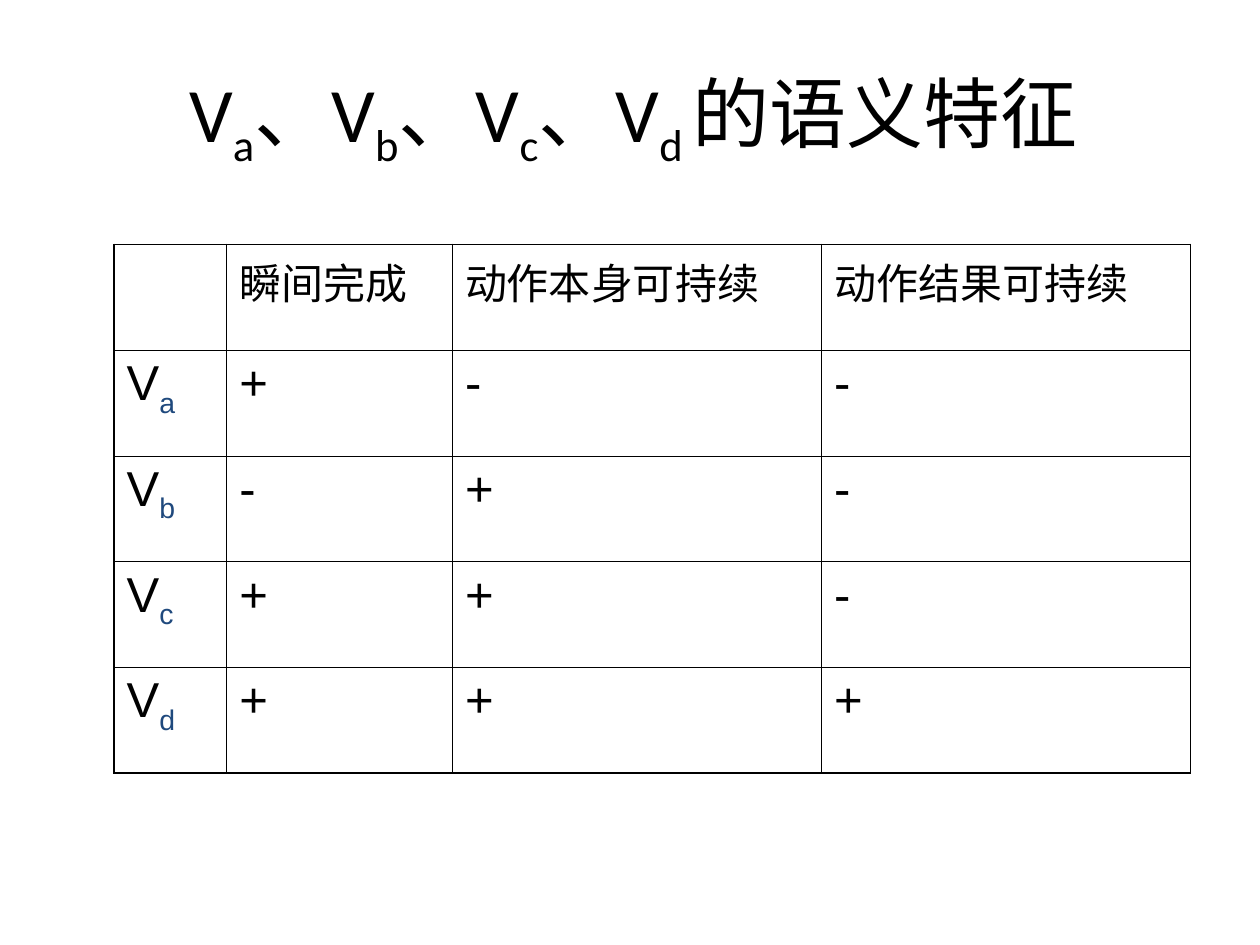
from lxml.etree import SubElement
from pptx import Presentation
from pptx.dml.color import RGBColor
from pptx.enum.text import MSO_ANCHOR, MSO_AUTO_SIZE, PP_ALIGN
from pptx.oxml import parse_xml
from pptx.oxml.ns import nsdecls
from pptx.util import Cm, Pt

BLACK = RGBColor(0, 0, 0)
BLUE = RGBColor(0x1F, 0x49, 0x7D)
THIN, THICK = Pt(0.45), Pt(1.08)


def write(para, parts, font, size, tint=BLACK):
    for i, part in enumerate(parts):
        run = para.add_run()
        run.text = part
        run.font.name = font
        run.font.size = Pt(size)
        run.font.color.rgb = tint if i % 2 else BLACK
        if i % 2:
            run.font._element.set("baseline", "-25000")


def border(cell, widths):
    props = cell._tc.get_or_add_tcPr()
    for i, (side, width) in enumerate(zip("LRTB", widths)):
        line = parse_xml(
            f'<a:ln{side} {nsdecls("a")} w="{width}"><a:solidFill>'
            f'<a:srgbClr val="{BLACK}"/></a:solidFill></a:ln{side}>'
        )
        props.insert(i, line)


deck = Presentation()
deck.slide_width, deck.slide_height = Cm(25.4), Cm(19.05)
slide = deck.slides.add_slide(deck.slide_layouts[5])

title = slide.shapes.title
title.left, title.top = Cm(1.88), Cm(0.79)
title.width, title.height = Cm(21.79), Cm(3.18)
frame = title.text_frame
frame.auto_size = MSO_AUTO_SIZE.NONE
frame.vertical_anchor = MSO_ANCHOR.MIDDLE
head = frame.paragraphs[0]
head.alignment = PP_ALIGN.CENTER
write(head, ["V", "a", "、V", "b", "、V", "c", "、V", "d ", "的语义特征"], "Calibri", 44)

rows = [
    ["", "瞬间完成", "动作本身可持续", "动作结果可持续"],
    ["Va", "+", "-", "-"],
    ["Vb", "-", "+", "-"],
    ["Vc", "+", "+", "-"],
    ["Vd", "+", "+", "+"],
]
widths = [2.27, 4.55, 7.44, 7.44]
high = 2.13
last, end = len(rows) - 1, len(widths) - 1

grid = slide.shapes.add_table(
    len(rows), len(widths), Cm(2.3), Cm(4.93), Cm(sum(widths)), Cm(high * len(rows))
).table
grid.first_row = grid.horz_banding = False
for col, width in zip(grid.columns, widths):
    col.width = Cm(width)

for r, row in enumerate(rows):
    grid.rows[r].height = Cm(high)
    for c, text in enumerate(row):
        cell = grid.cell(r, c)
        cell.fill.background()
        edges = [c == 0, c == end, r == 0, r == last]
        border(cell, [THICK if edge else THIN for edge in edges])
        para = cell.text_frame.paragraphs[0]
        para.space_before = Pt(7 if r else 6)
        parts = [text] if r == 0 or c else list(text)
        if text:
            write(para, parts, "Arial", 28 if r else 24, BLUE)

deck.save("out.pptx")
